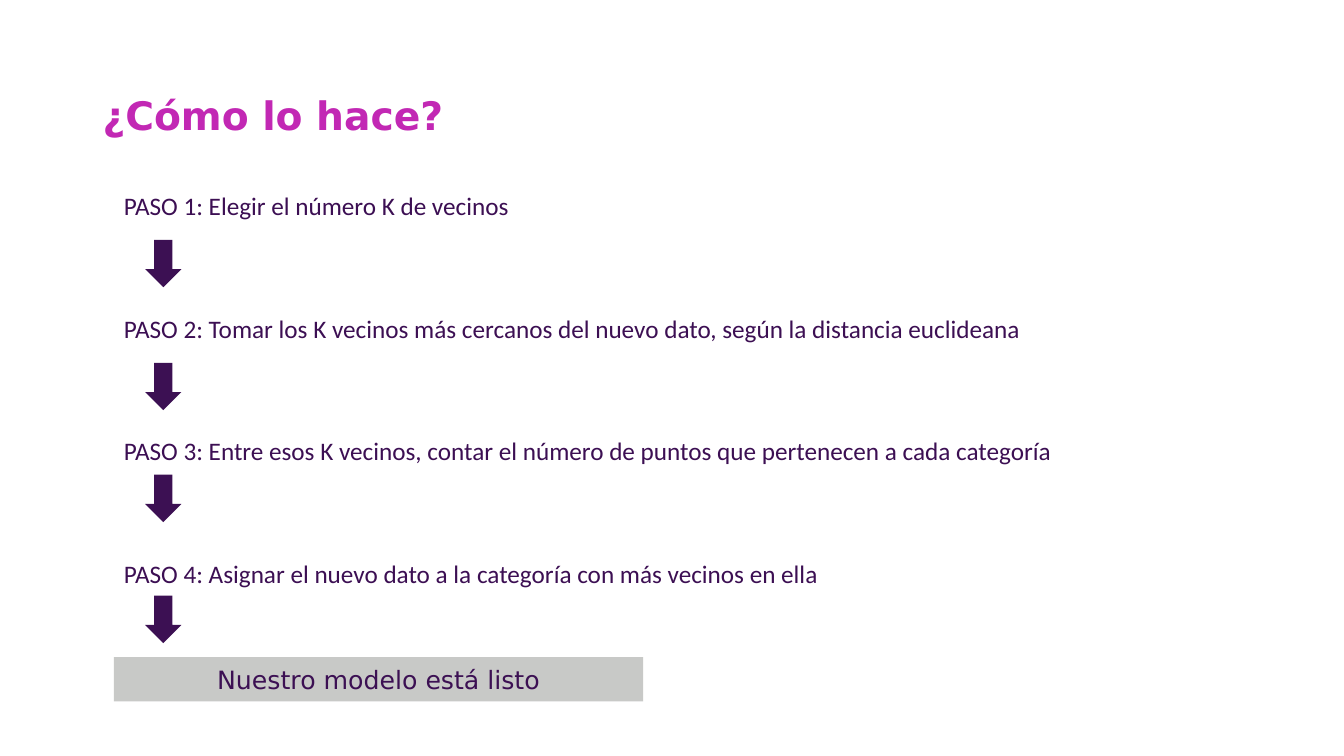
import pptx
import pptx.dml.color
import pptx.enum.shapes
import pptx.enum.text
import pptx.util
from dataclasses import dataclass

ALIGN = pptx.enum.text.PP_ALIGN
ANCHOR = pptx.enum.text.MSO_ANCHOR
SHAPE = pptx.enum.shapes.MSO_SHAPE


@dataclass(frozen=True)
class Theme:
    pink: str = "C228B4"
    plum: str = "3C1053"
    ink: str = "3C0F53"
    gray: str = "C8C9C7"
    head: int = 28
    body: int = 18
    sans: str = "DejaVu Sans"
    text: str = "Calibri"


class Page:
    def __init__(self, deck, theme):
        self.deck = deck
        self.theme = theme
        self.slide = deck.slides.add_slide(deck.slide_layouts[6])

    def place(self, left, top, width, height):
        col = self.deck.slide_width / 100
        row = self.deck.slide_height / 100
        return [round(n) for n in (left * col, top * row, width * col, height * row)]

    def fill_text(self, frame, lines, font, size, color, bold=False,
                  align=ALIGN.LEFT, anchor=ANCHOR.TOP, gap=0, lead=1.0):
        frame.word_wrap = True
        frame.vertical_anchor = anchor
        for i, line in enumerate(lines):
            para = frame.add_paragraph() if i else frame.paragraphs[0]
            para.text = line
            para.alignment = align
            para.line_spacing = lead
            if i:
                para.space_before = pptx.util.Pt(gap)
            para.font.name = font
            para.font.size = pptx.util.Pt(size)
            para.font.bold = bold
            para.font.color.rgb = pptx.dml.color.RGBColor.from_string(color)

    def shape(self, kind, box, color):
        item = self.slide.shapes.add_shape(kind, *self.place(*box))
        item.shadow.inherit = False
        item.fill.solid()
        item.fill.fore_color.rgb = pptx.dml.color.RGBColor.from_string(color)
        item.line.fill.background()
        return item

    def title(self, box, text):
        frame = self.slide.shapes.add_textbox(*self.place(*box)).text_frame
        self.fill_text(frame, [text], self.theme.sans, self.theme.head, self.theme.pink,
                       bold=True, anchor=ANCHOR.MIDDLE, lead=0.9)

    def steps(self, box, lines, gap):
        frame = self.slide.shapes.add_textbox(*self.place(*box)).text_frame
        self.fill_text(frame, lines, self.theme.text, self.theme.body, self.theme.ink, gap=gap)

    def arrow(self, box):
        self.shape(SHAPE.DOWN_ARROW, box, self.theme.plum)

    def banner(self, box, text):
        frame = self.shape(SHAPE.RECTANGLE, box, self.theme.gray).text_frame
        frame.margin_left = frame.margin_right = pptx.util.Inches(0.07)
        frame.margin_top = frame.margin_bottom = pptx.util.Inches(0.07)
        self.fill_text(frame, [text], self.theme.sans, self.theme.body, self.theme.plum,
                       align=ALIGN.CENTER, anchor=ANCHOR.MIDDLE)


def main():
    deck = pptx.Presentation()
    deck.slide_width = pptx.util.Inches(13.33)
    deck.slide_height = pptx.util.Inches(7.5)
    page = Page(deck, Theme())
    page.title((6.9, 9.47, 86.27, 12.13), "¿Cómo lo hace?")
    for top in (31.73, 48, 62.8, 78.8):
        page.arrow((10.8, top, 2.7, 6.27))
    page.banner((8.48, 86.93, 39.38, 5.87), "Nuestro modelo está listo")
    steps = [
        "Elegir el número K de vecinos",
        "Tomar los K vecinos más cercanos del nuevo dato, según la distancia euclideana",
        "Entre esos K vecinos, contar el número de puntos que pertenecen a cada categoría",
        "Asignar el nuevo dato a la categoría con más vecinos en ella",
    ]
    lines = [f"PASO {i}: {step}" for i, step in enumerate(steps, 1)]
    page.steps((8.48, 24.53, 82.07, 53.87), lines, gap=66)
    deck.save("out.pptx")


if __name__ == "__main__":
    main()
